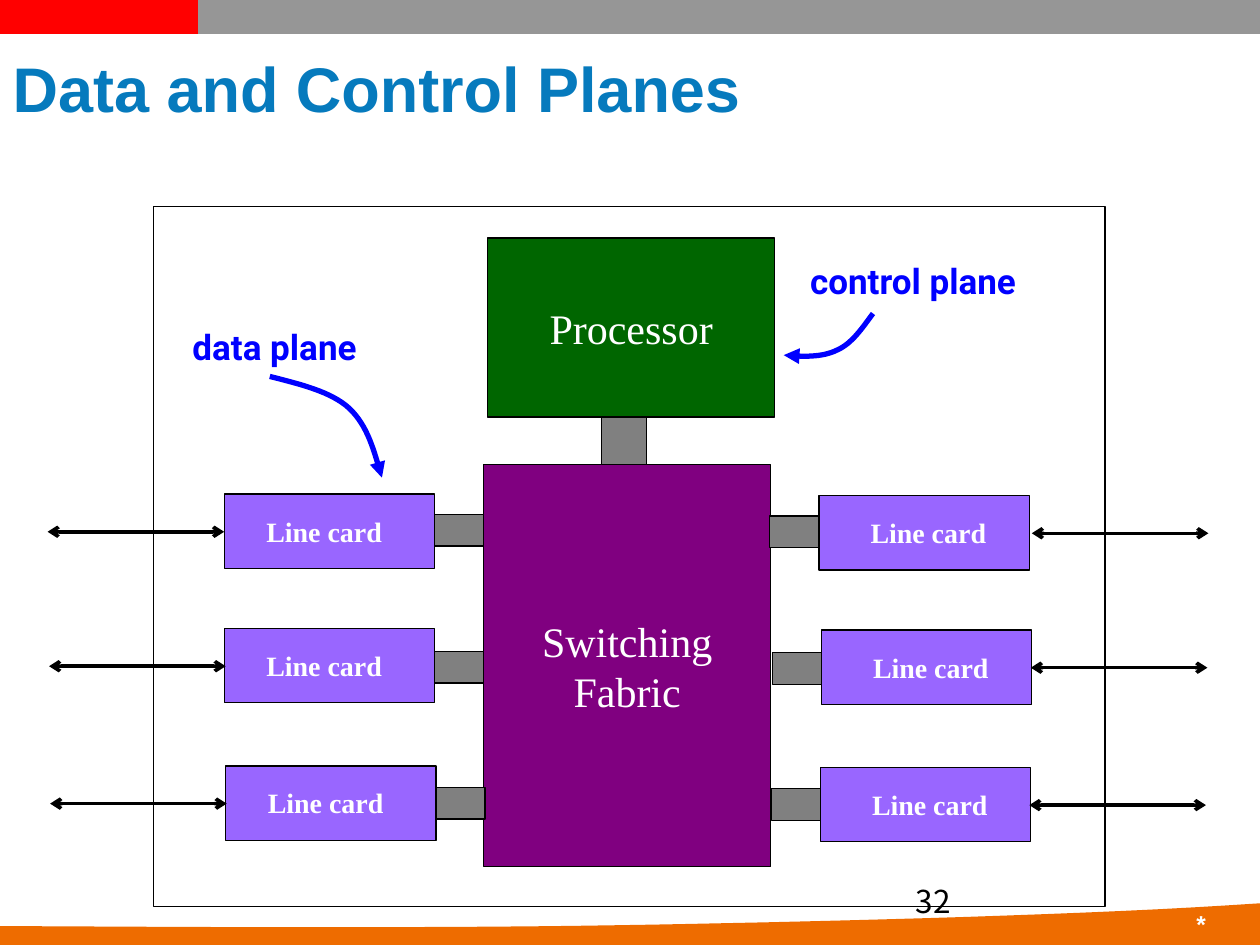
from dataclasses import dataclass

from lxml.etree import SubElement
from pptx import Presentation
from pptx.dml.color import RGBColor
from pptx.enum.shapes import MSO_CONNECTOR, MSO_SHAPE
from pptx.enum.text import MSO_ANCHOR, PP_ALIGN
from pptx.oxml.ns import qn
from pptx.util import Cm, Pt


@dataclass(frozen=True)
class Theme:
    black: str = "000000"
    white: str = "FFFFFF"
    grey: str = "969696"
    red: str = "FF0000"
    orange: str = "EE6C00"
    title: str = "067ABD"
    fabric: str = "800080"
    processor: str = "006600"
    link: str = "808080"
    card: str = "9966FF"
    plane: str = "0000FF"
    sans: str = "Arial"
    serif: str = "Times New Roman"
    number_font: str = "Noto Sans CJK SC"
    plane_font: str = "Roboto"
    title_size: int = 36
    block_size: int = 24
    plane_size: int = 20
    number_size: int = 18
    card_size: int = 16
    footer_size: int = 14
    outline: float = 0.75
    arrow: float = 2
    curve: float = 3
    band: float = 20


THEME = Theme()
SLIDE_WIDTH, SLIDE_HEIGHT = 25.4, 19.05
CARD_WIDTH, CARD_HEIGHT = 4.24, 1.5
LINK_WIDTH, LINK_HEIGHT = 0.99, 0.64
ARROW_LENGTH = 3.56


def add_run(paragraph, text, font, size, color, bold=False):
    run = paragraph.add_run()
    run.text = text
    run.font.name = font
    run.font.size = Pt(size)
    run.font.bold = bold
    run.font.color.rgb = RGBColor.from_string(color)


def add_text(slide, box, text, font, size, color, bold=False, wrap=False,
             align=PP_ALIGN.LEFT):
    shape = slide.shapes.add_textbox(*map(Cm, box))
    shape.text_frame.word_wrap = wrap
    paragraph = shape.text_frame.paragraphs[0]
    paragraph.alignment = align
    add_run(paragraph, text, font, size, color, bold)


def add_block(slide, box, fill=None, lines=()):
    shape = slide.shapes.add_shape(MSO_SHAPE.RECTANGLE, *map(Cm, box))
    shape.shadow.inherit = False
    if fill:
        shape.fill.solid()
        shape.fill.fore_color.rgb = RGBColor.from_string(fill)
    else:
        shape.fill.background()
    set_line(shape.line, THEME.black, THEME.outline)
    frame = shape.text_frame
    frame.word_wrap = False
    frame.vertical_anchor = MSO_ANCHOR.MIDDLE
    for index, text in enumerate(lines):
        paragraph = frame.add_paragraph() if index else frame.paragraphs[0]
        paragraph.alignment = PP_ALIGN.CENTER
        add_run(paragraph, text, THEME.serif, THEME.block_size, THEME.white)


def set_line(line, color, width):
    line.color.rgb = RGBColor.from_string(color)
    line.width = Pt(width)


def add_arrowhead(line, end, kind):
    SubElement(line._get_or_add_ln(), qn(f"a:{end}"), type=kind)


def add_line(slide, start, end, color, width, arrows=False):
    connector = slide.shapes.add_connector(
        MSO_CONNECTOR.STRAIGHT, *map(Cm, start + end))
    set_line(connector.line, color, width)
    if arrows:
        add_arrowhead(connector.line, "headEnd", "arrow")
        add_arrowhead(connector.line, "tailEnd", "arrow")
    SubElement(connector._element.spPr, qn("a:effectLst"))


def curve_points(knots, steps=16):
    points = [knots[0]]
    for first in range(0, len(knots) - 1, 3):
        segment = knots[first:first + 4]
        for step in range(1, steps + 1):
            t = step / steps
            weights = ((1 - t) ** 3, 3 * t * (1 - t) ** 2,
                       3 * t ** 2 * (1 - t), t ** 3)
            points.append(tuple(
                sum(weight * knot[axis] for weight, knot in zip(weights, segment))
                for axis in (0, 1)))
    return points


def add_outline(slide, points, close):
    start, *rest = [(Cm(x), Cm(y)) for x, y in points]
    builder = slide.shapes.build_freeform(*start)
    builder.add_line_segments(rest, close=close)
    shape = builder.convert_to_shape()
    shape.shadow.inherit = False
    return shape


def add_curved_arrow(slide, knots):
    shape = add_outline(slide, curve_points(knots), close=False)
    shape.fill.background()
    set_line(shape.line, THEME.plane, THEME.curve)
    add_arrowhead(shape.line, "tailEnd", "triangle")


def add_wave(slide):
    knots = [(0, 18.67), (4.47, 18.69), (8.94, 18.72), (13.18, 18.64),
             (16.97, 18.57), (22.1, 18.44), (SLIDE_WIDTH, 18.21)]
    corners = [(SLIDE_WIDTH, SLIDE_HEIGHT), (0, SLIDE_HEIGHT)]
    shape = add_outline(slide, curve_points(knots) + corners, close=True)
    shape.fill.solid()
    shape.fill.fore_color.rgb = RGBColor.from_string(THEME.orange)
    shape.line.fill.background()


def add_title(slide, text):
    title = slide.shapes.title
    title.left, title.top, title.width, title.height = map(
        Cm, (0, 0.81, 24.77, 1.88))
    title.text_frame.vertical_anchor = MSO_ANCHOR.MIDDLE
    paragraph = title.text_frame.paragraphs[0]
    paragraph.alignment = PP_ALIGN.LEFT
    add_run(paragraph, text, THEME.sans, THEME.title_size, THEME.title, True)


def add_line_card(slide, left, top, link_drop, arrow_start, on_left):
    link_left = left + CARD_WIDTH if on_left else left - LINK_WIDTH
    label_left = left + (0.6 if on_left else 0.79)
    arrow_end = arrow_start + (-ARROW_LENGTH if on_left else ARROW_LENGTH)
    arrow_top = top + 0.76
    add_block(slide, (left, top, CARD_WIDTH, CARD_HEIGHT), THEME.card)
    add_block(slide, (link_left, top + link_drop, LINK_WIDTH, LINK_HEIGHT),
              THEME.link)
    add_text(slide, (label_left, top + 0.28, 2.84, 0.94), "Line card",
             THEME.serif, THEME.card_size, THEME.white, True)
    add_line(slide, (arrow_start, arrow_top), (arrow_end, arrow_top),
             THEME.black, THEME.arrow, arrows=True)


def add_plane(slide, box, text, knots):
    add_curved_arrow(slide, knots)
    add_text(slide, box, text, THEME.plane_font, THEME.plane_size,
             THEME.plane, True)


def add_background(slide):
    add_line(slide, (0, 0.34), (SLIDE_WIDTH, 0.34), THEME.grey, THEME.band)
    add_wave(slide)
    add_text(slide, (22.86, 18.21, 1.7, 0.84), "*", THEME.sans,
             THEME.footer_size, THEME.white, True, True, PP_ALIGN.RIGHT)
    add_line(slide, (0, 0.34), (3.99, 0.34), THEME.red, THEME.band)


def main():
    presentation = Presentation()
    presentation.slide_width = Cm(SLIDE_WIDTH)
    presentation.slide_height = Cm(SLIDE_HEIGHT)
    slide = presentation.slides.add_slide(presentation.slide_layouts[5])
    add_background(slide)
    add_title(slide, "Data and Control Planes")
    add_text(slide, (18.21, 17.65, 5.92, 1.02), "32", THEME.number_font,
             THEME.number_size, THEME.black, wrap=True)
    add_block(slide, (9.75, 9.37, 5.79, 8.1), THEME.fabric,
              ("Switching", "Fabric"))
    add_block(slide, (9.83, 4.8, 5.79, 3.61), THEME.processor, ("Processor",))
    add_block(slide, (12.12, 8.41, 0.91, 0.96), THEME.link)
    rows = ((9.96, 0.41, 4.52, 4.52, 16.51, 20.8),
            (12.67, 0.46, 4.52, 4.55, 16.56, 20.78),
            (15.44, 0.43, 4.55, 4.57, 16.54, 20.75))
    for top, drop, left, left_arrow, right, right_arrow in rows:
        add_line_card(slide, left, top, drop, left_arrow, True)
        add_line_card(slide, right, top + 0.03, drop, right_arrow, False)
    add_block(slide, (3.1, 4.17, 19.18, 14.1))
    add_plane(slide, (3.63, 6.43, 3.99, 1.09), "data plane",
              [(5.44, 7.59), (6.07, 7.75), (6.68, 7.9), (7.04, 8.23),
               (7.42, 8.59), (7.54, 9.09), (7.7, 9.63)])
    add_plane(slide, (16.08, 5.11, 4.93, 1.09), "control plane",
              [(17.6, 6.32), (17.37, 6.63), (17.17, 6.93), (16.87, 7.06),
               (16.56, 7.21), (16.18, 7.19), (15.8, 7.16)])
    presentation.save("out.pptx")


main()
